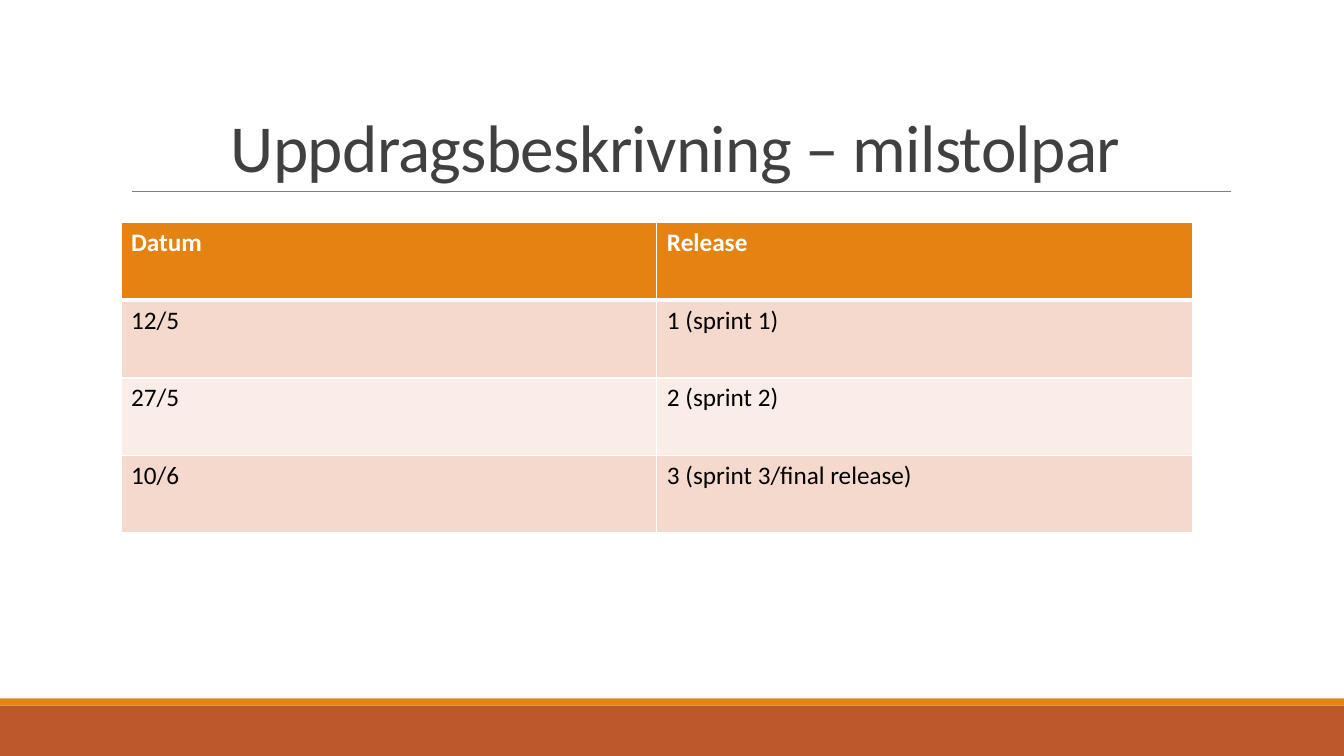
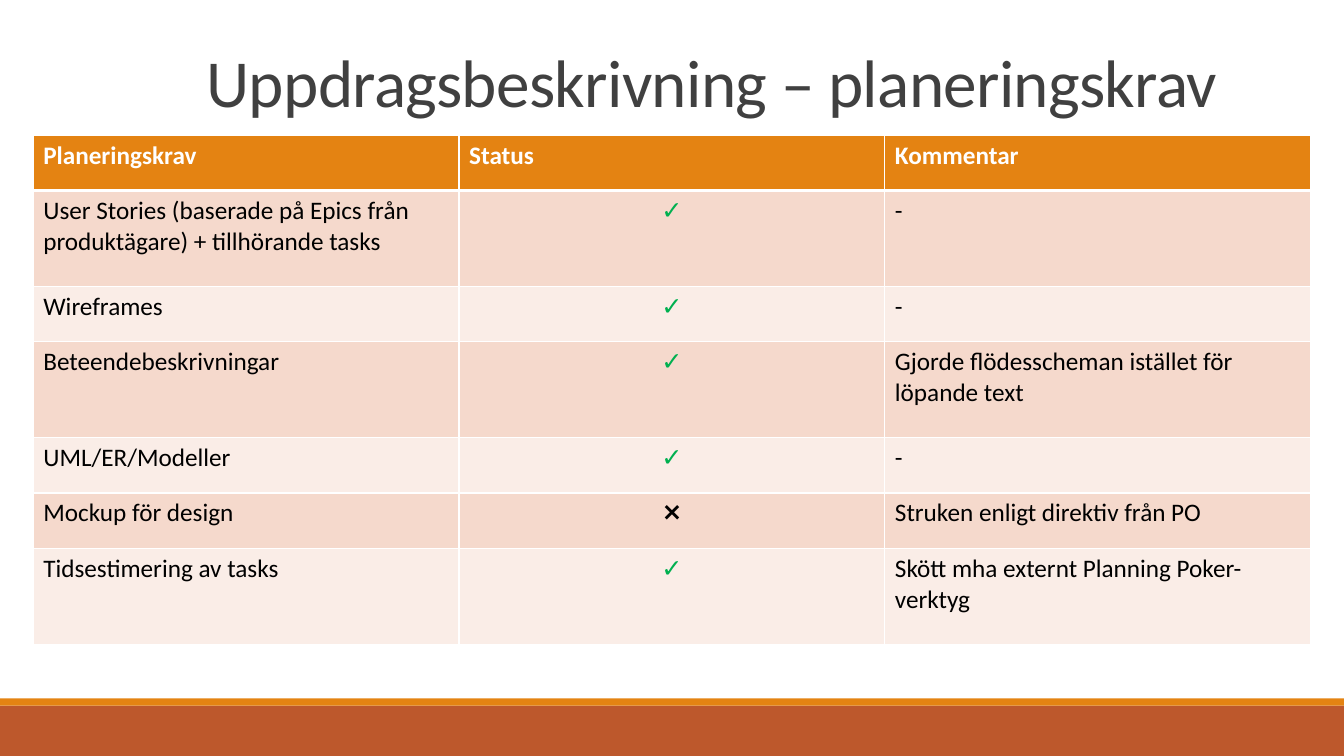
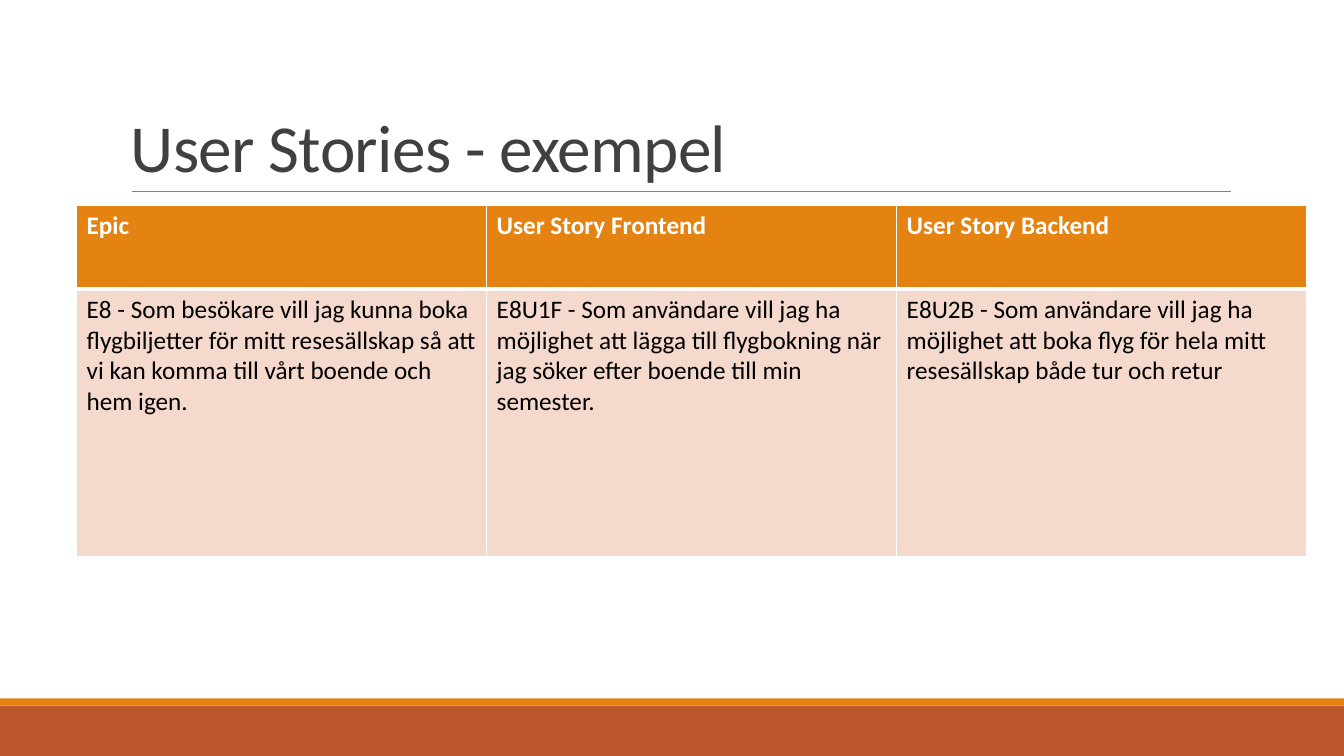
"""Builds three slides on milestones, planning requirements and user stories."""
from dataclasses import dataclass

from lxml import etree
from pptx import Presentation
from pptx.dml.color import RGBColor
from pptx.enum.shapes import MSO_CONNECTOR, MSO_SHAPE
from pptx.enum.text import MSO_ANCHOR, PP_ALIGN
from pptx.oxml.ns import qn
from pptx.slide import Slide
from pptx.table import _Cell
from pptx.util import Inches, Pt

RECTANGLE = MSO_SHAPE.RECTANGLE
STRAIGHT = MSO_CONNECTOR.STRAIGHT
BOTTOM = MSO_ANCHOR.BOTTOM
LEFT = PP_ALIGN.LEFT
CENTER = PP_ALIGN.CENTER

RUST = RGBColor(0xBD, 0x58, 0x2C)
ORANGE = RGBColor(0xE4, 0x83, 0x12)
ROW_TINTS = (RGBColor(0xF5, 0xD9, 0xCC), RGBColor(0xFA, 0xED, 0xE7))
TITLE_GRAY = RGBColor(0x40, 0x40, 0x40)
RULE_GRAY = RGBColor(0x80, 0x80, 0x80)
GREEN = RGBColor(0x00, 0xB0, 0x50)
BLACK = RGBColor(0, 0, 0)
WHITE = RGBColor(255, 255, 255)

FONT = "Calibri"
DONE = "✓"
DROPPED = "❌"
THIN, THICK = 1, 3


@dataclass(frozen=True)
class Box:
    left: float
    top: float
    width: float
    height: float

    def emu(self) -> tuple[int, int, int, int]:
        return (Inches(self.left), Inches(self.top),
                Inches(self.width), Inches(self.height))


@dataclass(frozen=True)
class Band:
    box: Box
    color: RGBColor


@dataclass(frozen=True)
class Page:
    title: str
    grid_box: Box
    row_heights: tuple[float, ...]
    rows: tuple[tuple[str, ...], ...]
    title_box: Box = Box(1.2, 0.31, 11, 1.59)
    title_align: PP_ALIGN = LEFT
    ruled: bool = True


BANDS = (
    Band(Box(0, 7, 13.33, 0.5), RUST),
    Band(Box(0, 6.93, 13.33, 0.07), ORANGE),
)

PAGES = (
    Page(
        title="Uppdragsbeskrivning – milstolpar",
        title_align=CENTER,
        grid_box=Box(1.2, 2.21, 10.63, 3.08),
        row_heights=(0.77,) * 4,
        rows=(
            ("Datum", "Release"),
            ("12/5", "1 (sprint 1)"),
            ("27/5", "2 (sprint 2)"),
            ("10/6", "3 (sprint 3/final release)"),
        ),
    ),
    Page(
        title="Uppdragsbeskrivning – planeringskrav",
        title_box=Box(1.95, 0.18, 10.27, 1.07),
        ruled=False,
        grid_box=Box(0.33, 1.34, 12.67, 5.05),
        row_heights=(0.55, 0.95, 0.55, 0.95, 0.55, 0.55, 0.95),
        rows=(
            ("Planeringskrav", "Status", "Kommentar"),
            ("User Stories (baserade på Epics från produktägare) + tillhörande tasks", DONE, "-"),
            ("Wireframes", DONE, "-"),
            ("Beteendebeskrivningar", DONE, "Gjorde flödesscheman istället för löpande text"),
            ("UML/ER/Modeller", DONE, "-"),
            ("Mockup för design", DROPPED, "Struken enligt direktiv från PO"),
            ("Tidsestimering av tasks", DONE, "Skött mha externt Planning Poker-verktyg"),
        ),
    ),
    Page(
        title="User Stories - exempel",
        grid_box=Box(0.76, 2.04, 12.2, 3.48),
        row_heights=(0.83, 2.65),
        rows=(
            ("Epic", "User Story Frontend", "User Story Backend"),
            (
                "E8 - Som besökare vill jag kunna boka flygbiljetter för mitt resesällskap "
                "så att vi kan komma till vårt boende och hem igen.",
                "E8U1F - Som användare vill jag ha möjlighet att lägga till flygbokning "
                "när jag söker efter boende till min semester.",
                "E8U2B - Som användare vill jag ha möjlighet att boka flyg för hela mitt "
                "resesällskap både tur och retur",
            ),
        ),
    ),
)


def draw_band(slide: Slide, band: Band) -> None:
    strip = slide.shapes.add_shape(RECTANGLE, *band.box.emu())
    strip.shadow.inherit = False
    strip.fill.solid()
    strip.fill.fore_color.rgb = band.color
    strip.line.fill.background()


def draw_rule(slide: Slide) -> None:
    rule = slide.shapes.add_connector(
        STRAIGHT, Inches(1.31), Inches(1.9), Inches(12.21), Inches(1.9))
    rule.line.color.rgb = RULE_GRAY
    rule.line.width = Pt(0.5)
    etree.SubElement(rule._element.spPr, qn("a:effectLst"))


def draw_title(slide: Slide, page: Page) -> None:
    frame = slide.shapes.add_textbox(*page.title_box.emu()).text_frame
    frame.word_wrap = True
    frame.vertical_anchor = BOTTOM
    frame.text = page.title
    heading = frame.paragraphs[0]
    heading.alignment = page.title_align
    heading.line_spacing = 0.85
    run = heading.runs[0]
    run.font.name = FONT
    run.font.size = Pt(48)
    run.font.color.rgb = TITLE_GRAY
    run._r.get_or_add_rPr().set("spc", "-50")


def set_borders(cell: _Cell, top: int, bottom: int) -> None:
    properties = cell._tc.get_or_add_tcPr()
    widths = {"lnL": THIN, "lnR": THIN, "lnT": top, "lnB": bottom}
    for position, (side, width) in enumerate(widths.items()):
        border = etree.Element(qn(f"a:{side}"), w=str(Pt(width)))
        fill = etree.SubElement(border, qn("a:solidFill"))
        etree.SubElement(fill, qn("a:srgbClr"), val=str(WHITE))
        properties.insert(position, border)


def fill_cell(cell: _Cell, text: str, row: int) -> None:
    header = row == 0
    cell.fill.solid()
    cell.fill.fore_color.rgb = ORANGE if header else ROW_TINTS[(row - 1) % 2]
    set_borders(cell, THICK if row == 1 else THIN, THICK if header else THIN)
    cell.text_frame.text = text
    paragraph = cell.text_frame.paragraphs[0]
    paragraph.alignment = CENTER if text in (DONE, DROPPED) else LEFT
    font = paragraph.runs[0].font
    font.name = FONT
    font.size = Pt(18)
    font.bold = header or text == DONE
    font.color.rgb = WHITE if header else GREEN if text == DONE else BLACK


def draw_grid(slide: Slide, page: Page) -> None:
    column_count = len(page.rows[0])
    grid = slide.shapes.add_table(
        len(page.rows), column_count, *page.grid_box.emu()).table
    for column in grid.columns:
        column.width = Inches(page.grid_box.width / column_count)
    for row, (height, texts) in enumerate(zip(page.row_heights, page.rows)):
        grid.rows[row].height = Inches(height)
        for column, text in enumerate(texts):
            fill_cell(grid.cell(row, column), text, row)


def main() -> None:
    deck = Presentation()
    deck.slide_width = Inches(13.33)
    deck.slide_height = Inches(7.5)
    for page in PAGES:
        slide = deck.slides.add_slide(deck.slide_layouts[6])
        for band in BANDS:
            draw_band(slide, band)
        if page.ruled:
            draw_rule(slide)
        draw_title(slide, page)
        draw_grid(slide, page)
    deck.save("out.pptx")


if __name__ == "__main__":
    main()
